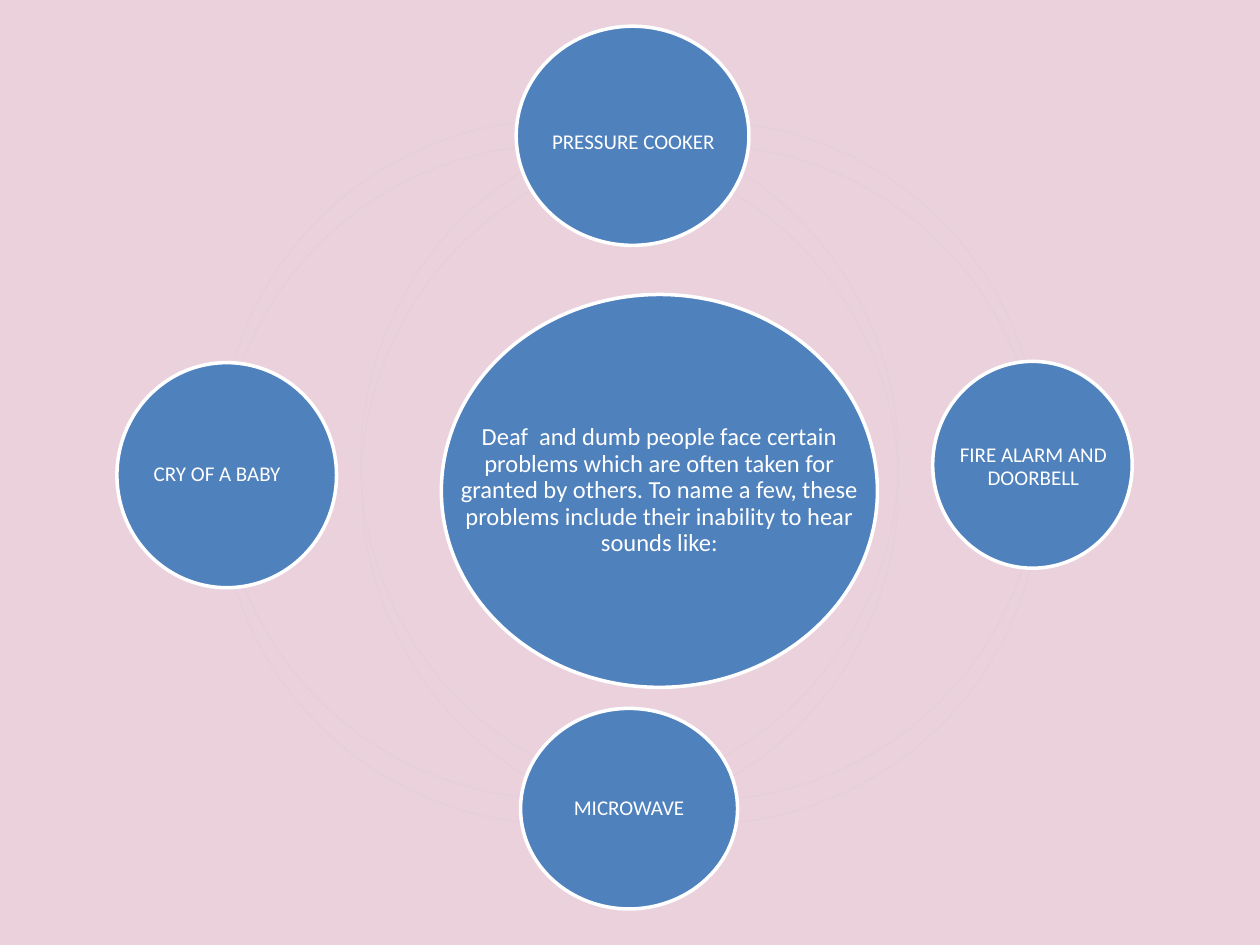
from dataclasses import dataclass

from pptx import Presentation
from pptx import util as u
from pptx.dml.color import RGBColor
from pptx.enum import shapes, text


@dataclass(frozen=True)
class Theme:
    background: RGBColor = RGBColor(0xEA, 0xD1, 0xDC)
    ring: RGBColor = RGBColor(0xE5, 0xCF, 0xDB)
    bubble: RGBColor = RGBColor(0x4F, 0x81, 0xBD)
    white: RGBColor = RGBColor(0xFF, 0xFF, 0xFF)
    font: str = "Calibri"
    center_size: int = 14
    sound_size: int = 12


THEME = Theme()
RING_DIAMETER = 388.2
RING_CORNERS = [(125.3, 68.4), (125.3, 82.8), (206.6, 82.8), (206.2, 69.1)]
CENTER_TEXT = (
    "Deaf  and dumb people face certain problems which are often taken for "
    "granted by others. To name a few, these problems include their inability "
    "to hear sounds like:"
)
CENTER_BOX = (252.2, 168.3, 249.2, 224.5)
SOUNDS = [
    ("PRESSURE COOKER", (295, 15, 133, 125.2), (0.5, 4)),
    ("FIRE ALARM AND DOORBELL", (533, 206.5, 114, 118.2), (0.5, 1.5)),
    ("MICROWAVE", (297.5, 404.8, 124, 114.6), (0, 0)),
    ("CRY OF A BABY", (66.8, 207.2, 125.5, 128.6), (-5.5, 0)),
]


def add_oval(slide, box, line_color, line_width, fill_color=None):
    oval = slide.shapes.add_shape(
        shapes.MSO_SHAPE.OVAL, *(u.Pt(length) for length in box)
    )
    oval.shadow.inherit = False
    if fill_color is None:
        oval.fill.background()
    else:
        oval.fill.solid()
        oval.fill.fore_color.rgb = fill_color
    oval.line.color.rgb = line_color
    oval.line.width = u.Pt(line_width)


def add_caption(slide, wording, box, size, offset=(0, 0)):
    left, top, width, height = box
    place = (left + offset[0], top + offset[1], width, height)
    caption = slide.shapes.add_textbox(*(u.Pt(length) for length in place))
    frame = caption.text_frame
    frame.word_wrap = True
    frame.vertical_anchor = text.MSO_ANCHOR.MIDDLE
    frame.margin_left = frame.margin_right = u.Pt(1.5)
    frame.margin_top = frame.margin_bottom = u.Pt(1.5)
    frame.text = wording
    paragraph = frame.paragraphs[0]
    paragraph.alignment = text.PP_ALIGN.CENTER
    paragraph.line_spacing = 0.9
    font = paragraph.runs[0].font
    font.name = THEME.font
    font.size = u.Pt(size)
    font.color.rgb = THEME.white


def add_bubble(slide, wording, box, size, offset=(0, 0)):
    add_oval(slide, box, THEME.white, 2, THEME.bubble)
    add_caption(slide, wording, box, size, offset)


def main():
    presentation = Presentation()
    presentation.slide_width = u.Pt(720)
    presentation.slide_height = u.Pt(540)
    slide = presentation.slides.add_slide(presentation.slide_layouts[6])
    slide.background.fill.solid()
    slide.background.fill.fore_color.rgb = THEME.background

    for left, top in RING_CORNERS:
        ring_box = (left, top, RING_DIAMETER, RING_DIAMETER)
        add_oval(slide, ring_box, THEME.ring, 0.5)
    add_bubble(slide, CENTER_TEXT, CENTER_BOX, THEME.center_size)
    for wording, box, offset in SOUNDS:
        add_bubble(slide, wording, box, THEME.sound_size, offset)

    presentation.save("out.pptx")


if __name__ == "__main__":
    main()
